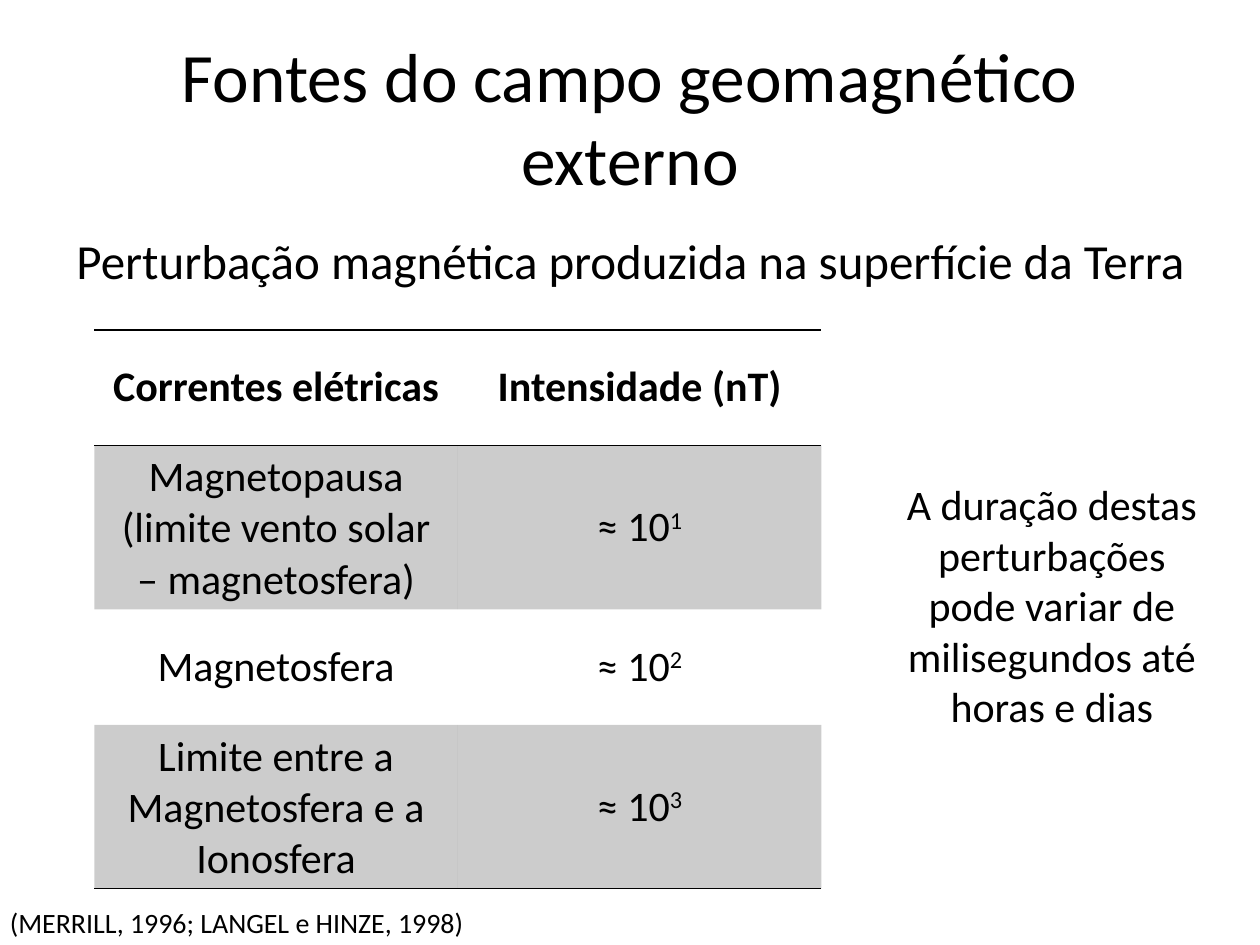
from lxml import etree
from pptx import Presentation
from pptx.dml.color import RGBColor
from pptx.enum.text import MSO_ANCHOR, PP_ALIGN
from pptx.oxml.ns import qn
from pptx.util import Cm, Pt

LEFT, CENTER = PP_ALIGN.LEFT, PP_ALIGN.CENTER
TOP, MIDDLE = MSO_ANCHOR.TOP, MSO_ANCHOR.MIDDLE
BLACK = RGBColor(0, 0, 0)
FONT = "Calibri"
NO_STYLE = "{2D5ABB26-0587-4C30-8999-92F81FD0307C}"

HEADER = ["Correntes elétricas", "Intensidade (nT)"]
# Current and the power of ten of its intensity
CURRENTS = [
    ("Magnetopausa (limite vento solar – magnetosfera)", "1"),
    ("Magnetosfera", "2"),
    ("Limite entre a Magnetosfera e a Ionosfera", "3"),
]
ROW_HEIGHTS = [Cm(2.33), Cm(3.28), Cm(2.33), Cm(3.28)]
COLUMN_WIDTH = Cm(7.33)


def add_run(p, text, size, bold=False, superscript=False):
    r = p.add_run()
    r.text = text
    formats = {"name": FONT, "size": Pt(size), "bold": bold}
    for name, value in formats.items():
        setattr(r.font, name, value)
    r.font.color.rgb = BLACK
    if superscript:
        r._r.get_or_add_rPr().set("baseline", "30000")


def add_text(s, box, text, size, align=CENTER, anchor=TOP):
    tf = s.shapes.add_textbox(*box).text_frame
    tf.word_wrap = True
    tf.vertical_anchor = anchor
    p = tf.paragraphs[0]
    p.alignment = align
    add_run(p, text, size)


def add_border(cell, side):
    ln = etree.SubElement(cell._tc.get_or_add_tcPr(), qn(f"a:ln{side}"), w=str(Pt(1)))
    fill = etree.SubElement(ln, qn("a:solidFill"))
    etree.SubElement(fill, qn("a:srgbClr"), val=str(BLACK))


def shade(cell, percent):
    cell.fill.solid()
    cell.fill.fore_color.rgb = BLACK
    color = cell._tc.tcPr.find(qn("a:solidFill")).find(qn("a:srgbClr"))
    etree.SubElement(color, qn("a:alpha"), val=str(percent * 1000))


def fill_cell(cell, text, power="", bold=False, borders="", shaded=False):
    cell.vertical_anchor = MIDDLE
    p = cell.text_frame.paragraphs[0]
    p.alignment = CENTER
    add_run(p, text, 24, bold)
    if power:
        add_run(p, power, 24, superscript=True)
    for side in borders:
        add_border(cell, side)
    if shaded:
        shade(cell, 20)
    else:
        cell.fill.background()


def add_currents_table(s):
    frame = s.shapes.add_table(len(ROW_HEIGHTS), len(HEADER), Cm(1.9), Cm(6.65),
                               COLUMN_WIDTH * len(HEADER), sum(ROW_HEIGHTS))
    table = frame.table
    table._tbl.tblPr.find(qn("a:tableStyleId")).text = NO_STYLE
    table.horz_banding = False
    for column in table.columns:
        column.width = COLUMN_WIDTH
    for row, height in zip(table.rows, ROW_HEIGHTS):
        row.height = height

    for col, title in enumerate(HEADER):
        fill_cell(table.cell(0, col), title, bold=True, borders="TB")
    for row, (current, power) in enumerate(CURRENTS, start=1):
        style = {"borders": "B" if row == len(CURRENTS) else "", "shaded": row % 2 == 1}
        fill_cell(table.cell(row, 0), current, **style)
        fill_cell(table.cell(row, 1), "≈ 10", power, **style)


def main():
    prs = Presentation()
    prs.slide_width, prs.slide_height = Cm(25.4), Cm(19.05)
    s = prs.slides.add_slide(prs.slide_layouts[6])

    # Title and subtitle
    add_text(s, (Cm(1.27), Cm(0.76), Cm(22.86), Cm(3.18)),
             "Fontes do campo geomagnético externo", 39.6, anchor=MIDDLE)
    add_text(s, (Cm(0.71), Cm(4.52), Cm(24), Cm(1.45)),
             "Perturbação magnética produzida na superfície da Terra", 28)

    # Table of intensities
    add_currents_table(s)

    # Side remark and citation
    add_text(s, (Cm(17.7), Cm(9.53), Cm(7.01), Cm(5.38)),
             "A duração destas perturbações pode variar de milisegundos até horas e dias", 24)
    add_text(s, (Cm(-0.05), Cm(18.14), Cm(9.96), Cm(0.94)),
             "(MERRILL, 1996; LANGEL e HINZE, 1998)", 16, align=LEFT)

    prs.save("out.pptx")


if __name__ == "__main__":
    main()
